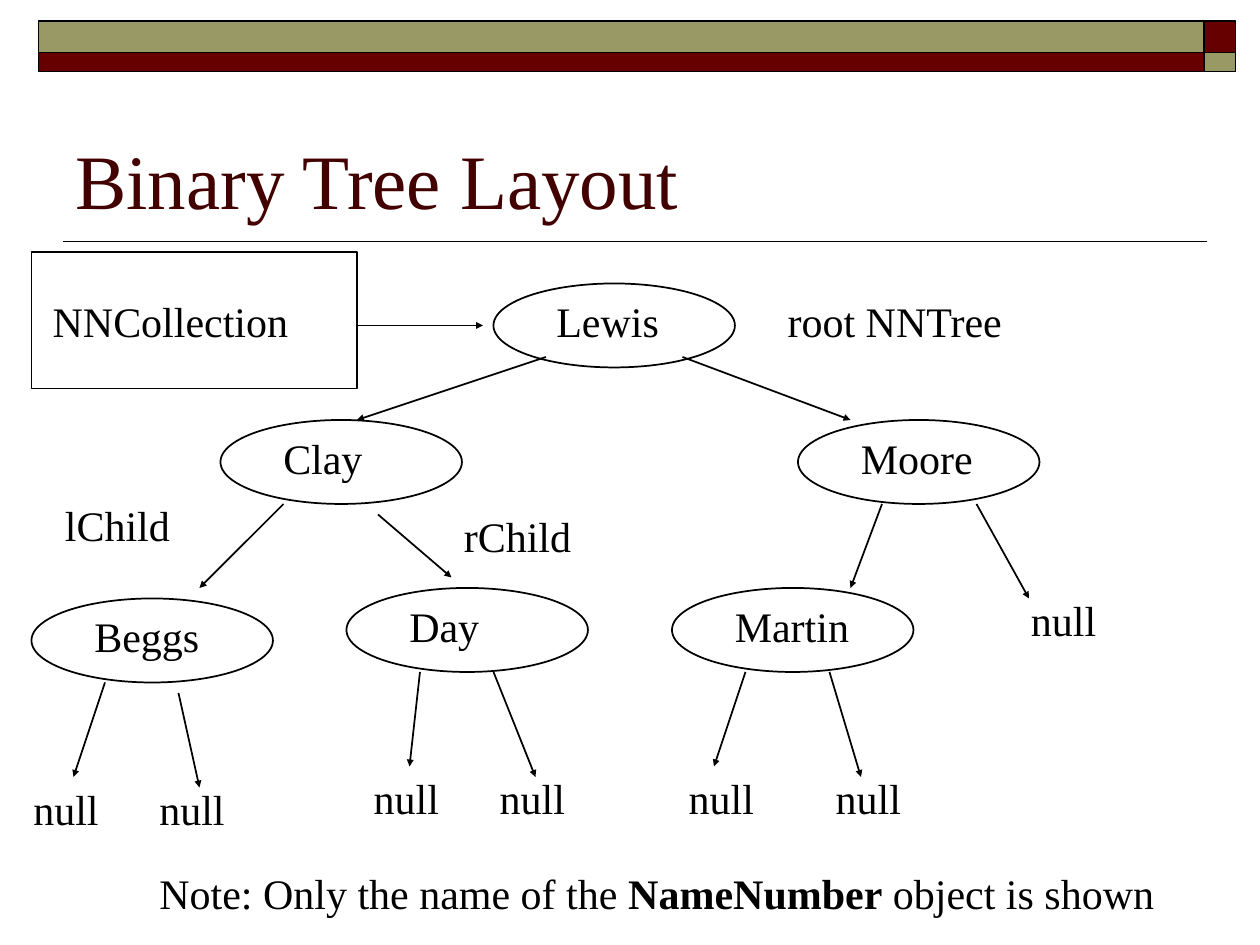
from pptx import Presentation
from pptx.dml.color import RGBColor
from pptx.enum.shapes import MSO_CONNECTOR as Connector, MSO_SHAPE as Shape
from pptx.enum.text import MSO_ANCHOR as Anchor, MSO_AUTO_SIZE as AutoSize
from pptx.oxml.ns import qn
from pptx.util import Pt
from lxml.etree import SubElement

BLACK, MAROON, OLIVE, TITLE = "000000", "660000", "999966", "420000"


def color(value):
    return RGBColor.from_string(value)


def write(para, text, font="Times New Roman", size=24, fill=BLACK, bold=False):
    span = para.add_run()
    span.text = text
    span.font.name = font
    span.font.size = Pt(size)
    span.font.bold = bold
    span.font.color.rgb = color(fill)


class TreeSlide:
    node_width, node_height = 138, 48
    label_height = 36
    line_width = 1

    def __init__(self, deck):
        self.page = deck.slides.add_slide(deck.slide_layouts[6])

    def outline(self, item):
        item.line.color.rgb = color(BLACK)
        item.line.width = Pt(self.line_width)

    def shape(self, kind, left, top, width, height, fill=None):
        item = self.page.shapes.add_shape(kind, Pt(left), Pt(top), Pt(width), Pt(height))
        item.shadow.inherit = False
        if fill:
            item.fill.solid()
            item.fill.fore_color.rgb = color(fill)
        else:
            item.fill.background()
        self.outline(item)

    def line(self, start, end, arrow=True):
        item = self.page.shapes.add_connector(
            Connector.STRAIGHT, *(Pt(value) for value in (*start, *end)))
        self.outline(item)
        if arrow:
            SubElement(item.line._get_or_add_ln(), qn("a:tailEnd"),
                       type="triangle", w="sm", len="sm")
        SubElement(item._element.spPr, qn("a:effectLst"))

    def box(self, left, top, width, height):
        return self.page.shapes.add_textbox(
            Pt(left), Pt(top), Pt(width), Pt(height)).text_frame

    def title(self, text):
        frame = self.box(36, 42, 648, 90)
        frame.word_wrap = True
        frame.vertical_anchor = Anchor.BOTTOM
        write(frame.paragraphs[0], text, size=44, fill=TITLE)

    def label(self, left, top, width, *parts):
        frame = self.box(left, top, width, self.label_height)
        frame.word_wrap = False
        frame.auto_size = AutoSize.SHAPE_TO_FIT_TEXT
        for text, bold in parts:
            write(frame.paragraphs[0], text, bold=bold)

    def node(self, name, left, top, text_width):
        self.shape(Shape.OVAL, left, top, self.node_width, self.node_height)
        self.label(left + 28.8, top + 3.4, text_width, (name, False))


def main():
    deck = Presentation()
    deck.slide_width, deck.slide_height = Pt(720), Pt(540)
    slide = TreeSlide(deck)

    slide.line((690, 138), (36, 138), arrow=False)
    for top, height, wide_fill, corner_fill in (
            (12, 18, OLIVE, MAROON), (30, 11, MAROON, OLIVE)):
        slide.shape(Shape.RECTANGLE, 22, top, 666, height, wide_fill)
        slide.shape(Shape.RECTANGLE, 688, top, 18, height, corner_fill)
    slide.title("Binary Tree Layout")

    slide.shape(Shape.RECTANGLE, 18, 144, 186, 78)
    for name, left, top, text_width in (
            ("Lewis", 282, 162, 74), ("Clay", 126, 240, 61),
            ("Moore", 456, 240, 80), ("Beggs", 18, 342, 76),
            ("Day", 198, 336, 56), ("Martin", 384, 336, 81)):
        slide.node(name, left, top, text_width)

    for text, left, top, width in (
            ("NNCollection", 23, 165.4, 150), ("root NNTree", 443, 165.4, 139),
            ("lChild", 30, 282, 76), ("rChild", 258, 288, 77)):
        slide.label(left, top, width, (text, False))

    for left, top in ((12, 444), (84, 444), (206.5, 438), (278.5, 438),
                      (386.5, 438), (470.5, 438), (582, 336)):
        slide.label(left, top, 53, ("null", False))

    for start, end in (
            ((204, 186), (276, 186)),
            ((312, 204), (204, 240)), ((390, 204), (486, 240)),
            ((162, 288), (114, 336)), ((216, 294), (258, 330)),
            ((504, 288), (486, 336)), ((558, 288), (588, 342)),
            ((60, 390), (42, 444)), ((102, 396), (114, 450)),
            ((240, 384), (234, 438)), ((282, 384), (306, 444)),
            ((426, 384), (408, 438)), ((474, 384), (492, 444))):
        slide.line(start, end)

    slide.label(84, 492, 585, ("Note: Only the name of the ", False),
                ("NameNumber", True), (" object is shown", False))
    deck.save("out.pptx")


if __name__ == "__main__":
    main()
